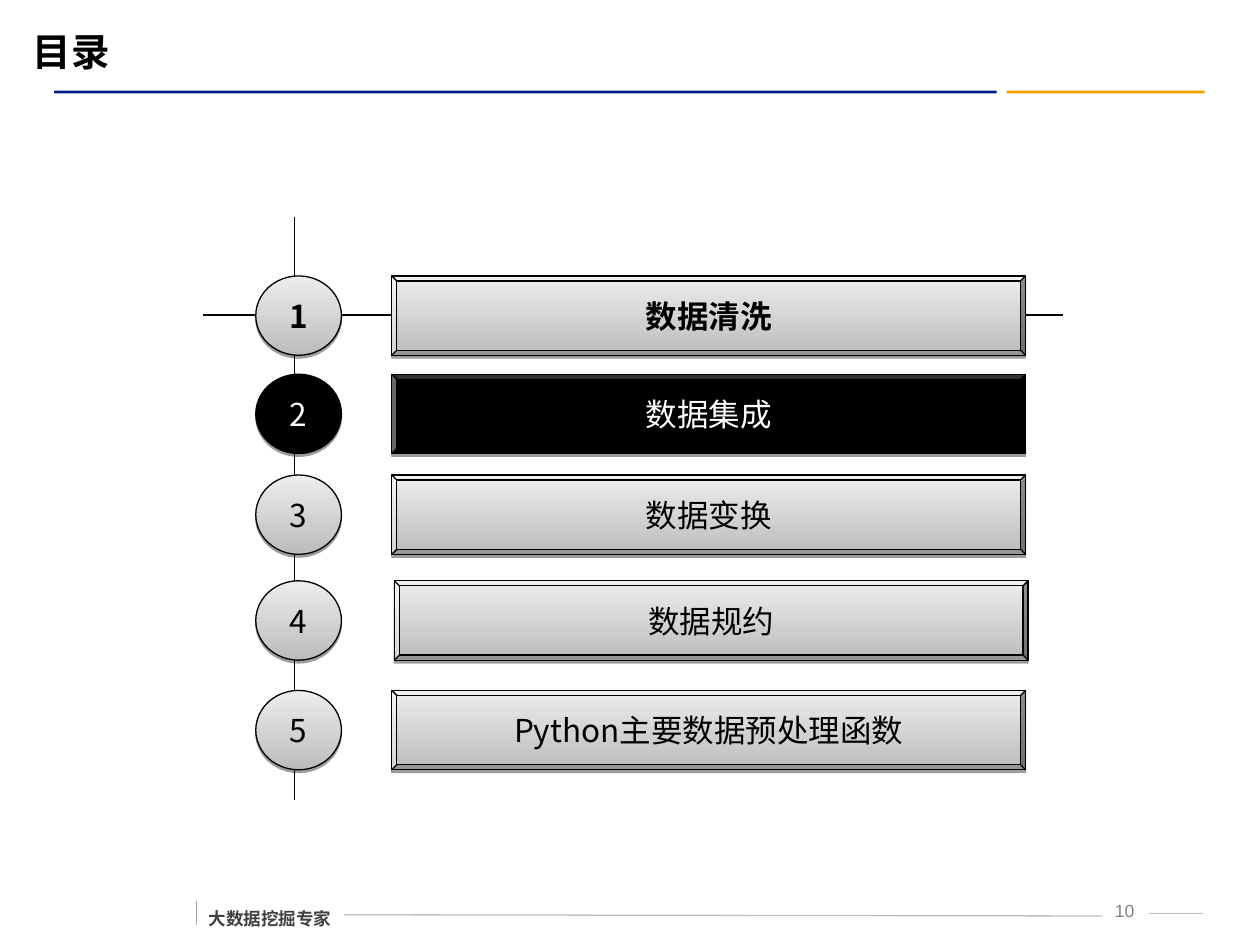
from dataclasses import dataclass

from lxml import etree
from pptx import Presentation
from pptx.dml.color import RGBColor
from pptx.enum.shapes import MSO_CONNECTOR, MSO_SHAPE
from pptx.enum.text import MSO_ANCHOR, MSO_AUTO_SIZE, PP_ALIGN
from pptx.oxml.ns import qn
from pptx.util import Inches, Pt

STRAIGHT = MSO_CONNECTOR.STRAIGHT
BEVEL = MSO_SHAPE.BEVEL
OVAL = MSO_SHAPE.OVAL
ROUNDED = MSO_SHAPE.ROUNDED_RECTANGLE
LEFT, CENTER = PP_ALIGN.LEFT, PP_ALIGN.CENTER
TOP, MIDDLE = MSO_ANCHOR.TOP, MSO_ANCHOR.MIDDLE
NO_AUTOFIT = MSO_AUTO_SIZE.NONE


@dataclass(frozen=True)
class Theme:
    latin_font: str = "Arial"
    chinese_font: str = "Noto Sans CJK SC"
    title_size: float = 22
    item_size: float = 18
    footer_size: float = 10
    line_width: float = 0.75
    black: str = "000000"
    white: str = "FFFFFF"
    blue: str = "031D89"
    orange: str = "F5A000"
    gradient_bottom: str = "BCBCBC"
    gradient_top: str = "EDEDED"
    footer_text: str = "404040"
    page_text: str = "7F7F7F"
    footer_line: str = "BFBFBF"
    footer_tick: str = "A6A6A6"


THEME = Theme()
ITEM_HEIGHT = 0.63
BEVEL_DEPTH = 0.04
CIRCLE_LEFT, CIRCLE_WIDTH = 2.03, 0.68
BAR_LEFT, BAR_WIDTH = 3.11, 5.03
ITEMS = [
    ("数据清洗", 2.19),
    ("数据集成", 2.97),
    ("数据变换", 3.77),
    ("数据规约", 4.61),
    ("Python主要数据预处理函数", 5.48),
]
BOLD_ITEM, CURRENT_ITEM = 1, 2


def color(value):
    return RGBColor.from_string(value)


def write_text(shape, text, size, text_color, font=THEME.chinese_font,
               bold=False, align=CENTER, anchor=MIDDLE, wrap=False):
    frame = shape.text_frame
    frame.text = text
    frame.word_wrap = wrap
    frame.auto_size = NO_AUTOFIT
    frame.vertical_anchor = anchor
    paragraph = frame.paragraphs[0]
    paragraph.alignment = align
    run = paragraph.runs[0]
    run.font.size = Pt(size)
    run.font.bold = bold
    run.font.name = font
    run.font.color.rgb = color(text_color)
    east_asian = etree.SubElement(run.font._element, qn("a:ea"))
    east_asian.set("typeface", THEME.chinese_font)
    return paragraph


def add_line(slide, start, end, line_color):
    points = [Inches(value) for value in (*start, *end)]
    line = slide.shapes.add_connector(STRAIGHT, *points)
    line.line.color.rgb = color(line_color)
    line.line.width = Pt(THEME.line_width)
    etree.SubElement(line._element.spPr, qn("a:effectLst"))


def add_rule(slide, left, width, fill_color):
    rule = slide.shapes.add_shape(
        ROUNDED, Inches(left), Inches(0.72), Inches(width), Inches(0.02))
    rule.shadow.inherit = False
    rule.fill.solid()
    rule.fill.fore_color.rgb = color(fill_color)
    rule.line.fill.background()


def add_shadow(shape):
    shape.shadow.inherit = False
    effects = shape._element.spPr.find(qn("a:effectLst"))
    shadow = etree.SubElement(
        effects, qn("a:outerShdw"), blurRad="0", dist=str(Pt(1.6)),
        dir="5400000", rotWithShape="0")
    shadow_color = etree.SubElement(shadow, qn("a:srgbClr"), val=THEME.black)
    etree.SubElement(shadow_color, qn("a:alpha"), val="38000")


def add_item_shape(slide, kind, left, top, width, text, bold, current):
    shape = slide.shapes.add_shape(
        kind, Inches(left), Inches(top), Inches(width), Inches(ITEM_HEIGHT))
    if kind == BEVEL:
        shape.adjustments[0] = BEVEL_DEPTH / ITEM_HEIGHT
    if current:
        shape.fill.solid()
        shape.fill.fore_color.rgb = color(THEME.black)
    else:
        shape.fill.gradient()
        shape.fill.gradient_angle = 90
        stops = shape.fill.gradient_stops
        stops[0].color.rgb = color(THEME.gradient_bottom)
        stops[1].color.rgb = color(THEME.gradient_top)
    shape.line.color.rgb = color(THEME.black)
    shape.line.width = Pt(THEME.line_width)
    add_shadow(shape)
    text_color = THEME.white if current else THEME.black
    write_text(shape, text, THEME.item_size, text_color, bold=bold)


def add_agenda(slide):
    add_line(slide, (2.34, 1.72), (2.34, 6.35), THEME.black)
    add_line(slide, (1.61, 2.5), (8.44, 2.5), THEME.black)
    for number, (label, top) in enumerate(ITEMS, start=1):
        style = number == BOLD_ITEM, number == CURRENT_ITEM
        bar_left = BAR_LEFT + (0.02 if number == 4 else 0)
        add_item_shape(slide, OVAL, CIRCLE_LEFT, top, CIRCLE_WIDTH,
                       str(number), *style)
        add_item_shape(slide, BEVEL, bar_left, top, BAR_WIDTH, label, *style)


def add_title(slide, text):
    title = slide.shapes.title
    title.left, title.top = Inches(0.16), Inches(0.17)
    title.width, title.height = Inches(9.1), Inches(0.47)
    write_text(title, text, THEME.title_size, THEME.black, THEME.latin_font,
               bold=True, align=LEFT, wrap=True)
    add_rule(slide, 0.43, 7.48, THEME.blue)
    add_rule(slide, 7.99, 1.57, THEME.orange)


def add_footer(slide, text, page):
    add_line(slide, (1.56, 7.15), (1.56, 7.34), THEME.footer_tick)
    add_line(slide, (2.73, 7.26), (8.75, 7.27), THEME.footer_line)
    add_line(slide, (9.12, 7.25), (9.55, 7.25), THEME.footer_line)
    footer = slide.shapes.add_textbox(
        Inches(1.56), Inches(7.07), Inches(1.17), Inches(0.35))
    paragraph = write_text(footer, text, THEME.footer_size, THEME.footer_text,
                           bold=True, align=LEFT, anchor=TOP)
    paragraph.line_spacing = 1.5
    paragraph.space_before = Pt(6)
    page_number = slide.shapes.add_textbox(
        Inches(8.69), Inches(7.09), Inches(0.47), Inches(0.25))
    write_text(page_number, page, THEME.footer_size, THEME.page_text,
               THEME.latin_font, anchor=TOP, wrap=True)


def main():
    presentation = Presentation()
    presentation.slide_width = Inches(10)
    presentation.slide_height = Inches(7.5)
    slide = presentation.slides.add_slide(presentation.slide_layouts[5])
    add_title(slide, "目录")
    add_footer(slide, "大数据挖掘专家", "10")
    add_agenda(slide)
    presentation.save("out.pptx")


if __name__ == "__main__":
    main()
